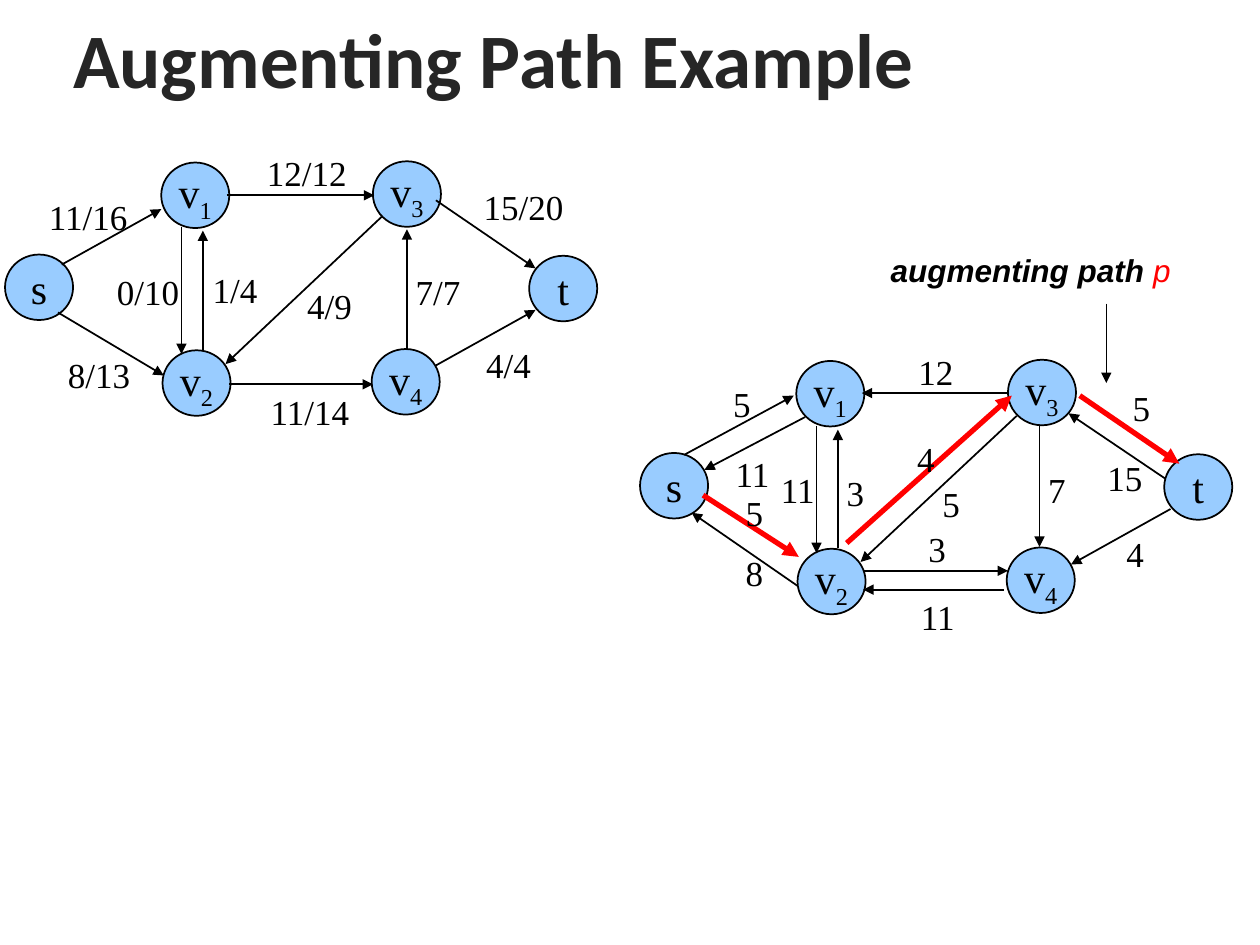
"""Build a slide with a flow network beside its residual network."""
from lxml import etree
from pptx import Presentation
from pptx import util as u
from pptx.dml.color import RGBColor
from pptx.enum import shapes, text
from pptx.oxml.ns import qn

HUES = {"ink": "000000", "title": "262626", "node": "99CCFF", "path": "FF0000"}
COLS, ROWS = 100, 75
SERIF = {"name": "Times New Roman", "bold": False, "italic": False}
NOTE = {"name": "Arial", "size": u.Pt(18), "bold": True, "italic": True}
HEAD = {"name": "Calibri", "size": u.Pt(44), "bold": True}

deck = Presentation()
deck.slide_width, deck.slide_height = u.Inches(10), u.Inches(7.5)
slide = deck.slides.add_slide(deck.slide_layouts[5])


def grid(*cells):
    """Turn alternating columns and rows into lengths."""
    sides = (deck.slide_width / COLS, deck.slide_height / ROWS)
    return [u.Emu(round(cell * sides[i % 2])) for i, cell in enumerate(cells)]


def write(frame, words, form, hue="ink"):
    """Add a formatted run to the first paragraph."""
    run = frame.paragraphs[0].add_run()
    run.text = words
    for key, val in form.items():
        setattr(run.font, key, val)
    run.font.color.rgb = RGBColor.from_string(HUES[hue])
    return run


title = slide.shapes.title
box = dict(zip(("left", "top", "width", "height"), grid(4.8, 0.8, 91.9, 7.5)))
for key, val in box.items():
    setattr(title, key, val)
title.text_frame.vertical_anchor = text.MSO_ANCHOR.MIDDLE
title.text_frame.paragraphs[0].alignment = text.PP_ALIGN.LEFT
write(title.text_frame, "Augmenting Path Example", HEAD, "title")

nodes = [
    ("s", "", 0.4, 20.2), ("t", "", 42, 20.3), ("v", "3", 29.6, 12.8),
    ("v", "4", 29.5, 27.7), ("v", "2", 12.9, 27.8), ("v", "1", 12.8, 12.9),
]
for right, down in ((0, 0), (50.4, 15.75)):
    for name, sub, col, row in nodes:
        node = slide.shapes.add_shape(
            shapes.MSO_SHAPE.OVAL, *grid(col + right, row + down, 5.4, 5.2))
        node.shadow.inherit = False
        node.fill.solid()
        node.fill.fore_color.rgb = RGBColor.from_string(HUES["node"])
        node.line.color.rgb = RGBColor.from_string(HUES["ink"])
        node.line.width = u.Pt(1)
        frame = node.text_frame
        frame.word_wrap = False
        frame.vertical_anchor = text.MSO_ANCHOR.MIDDLE
        frame.paragraphs[0].alignment = text.PP_ALIGN.CENTER
        form = {**SERIF, "size": u.Pt(24)}
        write(frame, name, form)
        if sub:
            low = write(frame, sub, form)
            low._r.get_or_add_rPr().set("baseline", "-25000")

flow = [
    (4.9, 21, 12.8, 16.6), (4.6, 24.8, 13, 29.8), (14.4, 18, 14.4, 28.1),
    (16.1, 27.8, 16.1, 18.3), (18, 15.5, 29.7, 15.5), (30.3, 17.2, 17.9, 28.9),
    (32.3, 27.8, 32.3, 18.2), (18.2, 30.5, 29.6, 30.5),
    (34.6, 15.9, 42.5, 21.3), (34.6, 29, 42.5, 24.6),
]
spare = [
    (64.8, 33.8, 64.8, 43.9), (66.5, 43.5, 66.5, 34.1),
    (80.1, 31.2, 68.4, 31.2), (80.7, 33, 68.3, 44.6),
    (82.5, 33.8, 82.5, 43.4), (68.6, 45.3, 80, 45.3),
    (92.9, 40.4, 85, 44.8), (54.3, 36.1, 63, 31.4), (63.9, 33.1, 55.9, 37.3),
    (63.3, 46.5, 54.9, 40.7), (79.7, 46.8, 68.5, 46.8),
    (92.5, 38, 84.8, 32.8),
]
path = [
    (55.8, 39.3, 63.4, 44.2), (67.2, 43.1, 80.3, 31.4),
    (85.7, 31.4, 93.6, 36.8),
]
pointer = [(87.8, 24.1, 87.8, 30.4)]
for edges, hue, width in ((flow + spare, "ink", 1), (path, "path", 3),
                          (pointer, "ink", 0.75)):
    for edge in edges:
        arrow = slide.shapes.add_connector(
            shapes.MSO_CONNECTOR.STRAIGHT, *grid(*edge))
        arrow.line.color.rgb = RGBColor.from_string(HUES[hue])
        arrow.line.width = u.Pt(width)
        props = arrow._element.spPr
        etree.SubElement(props.find(qn("a:ln")), qn("a:tailEnd"),
                         type="triangle")
        etree.SubElement(props, qn("a:effectLst"))

labels = [
    ("11/16", 2.9, 15), ("8/13", 4.4, 27.6), ("0/10", 8.3, 21),
    ("1/4", 15.9, 20.8), ("12/12", 20.2, 11.5), ("11/14", 20.5, 30.5),
    ("4/9", 23.4, 22.1), ("7/7", 32, 21), ("15/20", 37.4, 14.2),
    ("4/4", 37.6, 26.8), ("11", 61, 36.7), ("3", 66.2, 36.9),
    ("12", 71.9, 27.3), ("5", 73.8, 37.8), ("4", 88.4, 41.8),
    ("5", 57.2, 29.9), ("11", 57.4, 35.4), ("5", 58.2, 38.5),
    ("8", 58.2, 43.3), ("4", 71.8, 34.2), ("3", 72.7, 41.4),
    ("11", 72.1, 46.8), ("7", 82.2, 36.7), ("5", 88.9, 30.2),
    ("15", 86.9, 35.7),
]
for words, col, row in labels:
    bars = words.count("/")
    wide = 2 + 1.39 * (len(words) - bars) + 0.77 * bars
    label = slide.shapes.add_textbox(*grid(col, row, wide, 4.3))
    label.text_frame.word_wrap = False
    write(label.text_frame, words, {**SERIF, "size": u.Pt(20)})

note = slide.shapes.add_textbox(*grid(69.7, 19.4, 24.2, 4))
note.text_frame.word_wrap = False
write(note.text_frame, "augmenting path ", NOTE)
write(note.text_frame, "p", {**NOTE, "bold": False}, "path")

deck.save("out.pptx")
